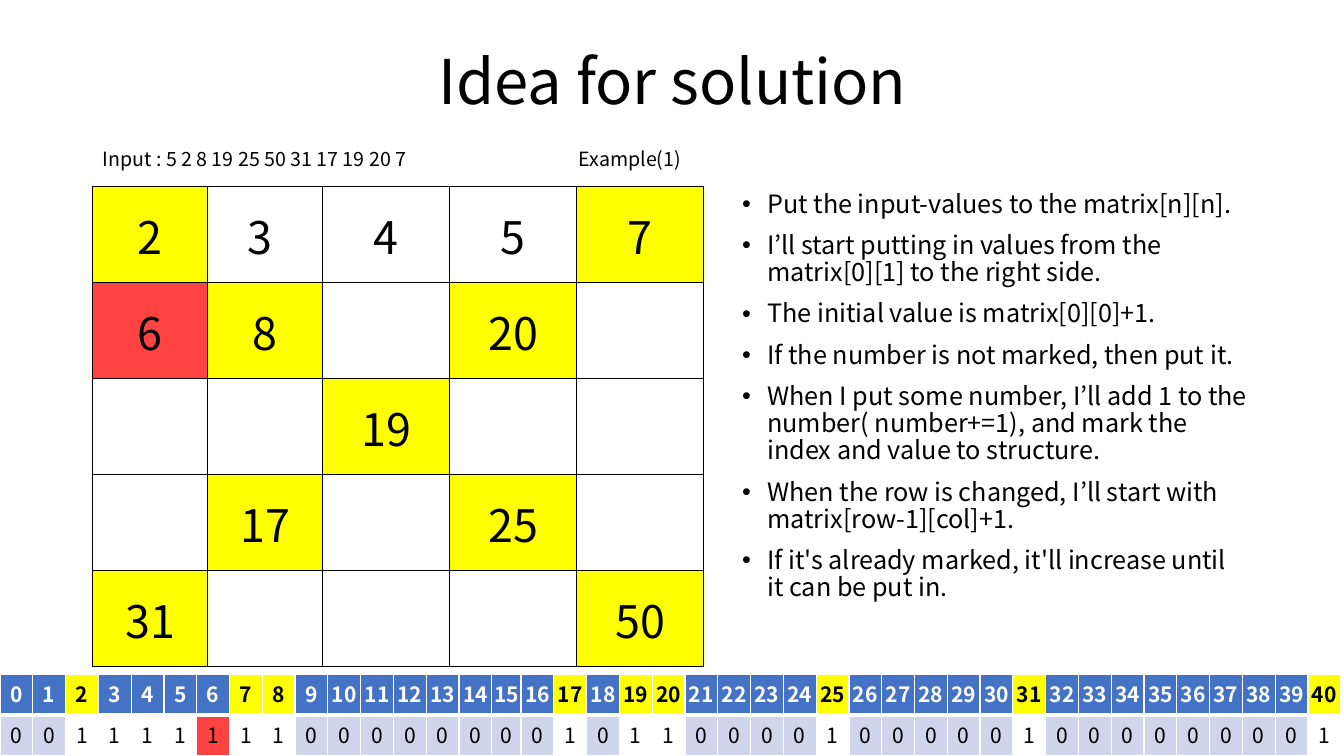
from pptx import Presentation, util as u
from pptx.dml.color import RGBColor
from pptx.enum import text as t
from pptx.oxml import parse_xml
from pptx.oxml.ns import nsdecls

BLACK = RGBColor(0, 0, 0)
WHITE = RGBColor(255, 255, 255)
YELLOW = RGBColor(255, 255, 0)
RED = RGBColor(255, 67, 67)
BLUE = RGBColor(68, 114, 196)
PALE = RGBColor(207, 213, 234)


class Page:
    def __init__(self, deck):
        self.font = "Noto Sans CJK KR"
        self.slide = deck.slides.add_slide(deck.slide_layouts[1])

    def place(self, item, box):
        item.left, item.top, item.width, item.height = map(u.Inches, box)

    def style(self, para, size, color=BLACK, bold=False, align=None):
        para.alignment = align
        for run in para.runs:
            font = run.font
            font.name, font.size, font.bold = self.font, u.Pt(size), bold
            font.color.rgb = color

    def title(self, words, box):
        item = self.slide.shapes.title
        self.place(item, box)
        frame = item.text_frame
        frame.text = words
        frame.auto_size = t.MSO_AUTO_SIZE.NONE
        frame.vertical_anchor = t.MSO_ANCHOR.MIDDLE
        frame.paragraphs[0].line_spacing = 0.9
        self.style(frame.paragraphs[0], 44, align=t.PP_ALIGN.CENTER)

    def bullets(self, lines, box):
        item = self.slide.placeholders[1]
        self.place(item, box)
        frame = item.text_frame
        frame.text = "\n".join(lines)
        frame.auto_size = t.MSO_AUTO_SIZE.NONE
        for para in frame.paragraphs:
            para.line_spacing, para.space_before = 0.9, u.Pt(10)
            self.style(para, 18, align=t.PP_ALIGN.LEFT)
            props = para._p.get_or_add_pPr()
            props.set("marL", str(u.Inches(0.25)))
            props.set("indent", str(-u.Inches(0.25)))
            props.append(parse_xml(f'<a:buFont {nsdecls("a")} typeface="Arial"/>'))
            props.append(parse_xml(f'<a:buChar {nsdecls("a")} char="•"/>'))

    def label(self, words, box):
        frame = self.slide.shapes.add_textbox(*map(u.Inches, box)).text_frame
        frame.word_wrap = True
        frame.text = words
        para = frame.paragraphs[0]
        para.line_spacing, para.space_before = 0.9, u.Pt(10)
        self.style(para, 14)

    def table(self, box, widths, count):
        frame = self.slide.shapes.add_table(count, len(widths), *map(u.Inches, box))
        grid = frame.table
        grid.first_row = grid.horz_banding = False
        for col, width in zip(grid.columns, widths):
            col.width = u.Inches(width)
        for row in grid.rows:
            row.height = u.Inches(box[3] / count)
        return grid

    def cell(self, cell, words, fill, size, pads, anchor, edge, sides, color=BLACK, bold=False):
        cell.text = words
        cell.vertical_anchor = anchor
        cell.margin_left, cell.margin_top, cell.margin_right, cell.margin_bottom = map(u.Inches, pads)
        props = cell._tc.get_or_add_tcPr()
        for side, width in zip("LRTB", sides):
            props.append(parse_xml(
                f'<a:ln{side} {nsdecls("a")} w="{u.Pt(width)}"><a:solidFill>'
                f'<a:srgbClr val="{edge}"/></a:solidFill></a:ln{side}>'))
        if fill is None:
            cell.fill.background()
        else:
            cell.fill.solid()
            cell.fill.fore_color.rgb = fill
        self.style(cell.text_frame.paragraphs[0], size, color, bold, t.PP_ALIGN.CENTER)


deck = Presentation()
deck.slide_width, deck.slide_height = u.Inches(13.33), u.Inches(7.5)
page = Page(deck)
page.title("Idea for solution", (0.92, 0.11, 11.5, 1.45))
page.bullets([
    "Put the input-values to the matrix[n][n].",
    "I’ll start putting in values from the matrix[0][1] to the right side.",
    "The initial value is matrix[0][0]+1.",
    "If the number is not marked, then put it.",
    "When I put some number, I’ll add 1 to the number( number+=1), "
    "and mark the index and value to structure.",
    "When the row is changed, I’ll start with matrix[row-1][col]+1.",
    "If it's already marked, it'll increase until it can be put in.",
], (7.26, 1.85, 5.21, 4.76))
page.label("Input : 5 2 8 19 25 50 31 17 19 20 7", (0.92, 1.43, 4.7, 0.42))
page.label("Example(1)", (5.64, 1.43, 1.32, 0.42))

given = {2, 7, 8, 17, 19, 20, 25, 31, 40, 50}
placed = {3, 4, 5, 6}
latest = 6

matrix = [
    ["2", "3 ", "4", "5", "7"],
    ["6", "8", "", "20", ""],
    ["", "", "19", "", ""],
    ["", "17", "", "25", ""],
    ["31", "", "", "", "50"],
]
grid = page.table((0.92, 1.85, 6.04, 4.76), [1.14] * 2 + [1.26] * 3, len(matrix))
for r, row in enumerate(matrix):
    for c, words in enumerate(row):
        value = int(words or 0)
        fill = RED if value == latest else YELLOW if value in given else None
        page.cell(grid.cell(r, c), words, fill, 32, (0.01, 0.01, 0.01, 0),
                  t.MSO_ANCHOR.MIDDLE, BLACK, (1, 1, 1, 1))

slots, slim = 41, 0.29
widths = [(13.3 - slim) / (slots - 1)] * slots
widths[15] = slim
strip = page.table((0, 6.69, 13.3, 0.81), widths, 2)
base = (15, (0, 0.04, 0, 0), t.MSO_ANCHOR.TOP, WHITE)
for n in range(slots):
    known = n in given
    mark = known or n in placed
    page.cell(strip.cell(0, n), str(n), YELLOW if known else BLUE, *base,
              (1, 1, 1, 3), BLACK if known else WHITE, True)
    fill = RED if n == latest else WHITE if mark else PALE
    page.cell(strip.cell(1, n), str(int(mark)), fill, *base, (1, 1, 3, 1))

deck.save("out.pptx")
